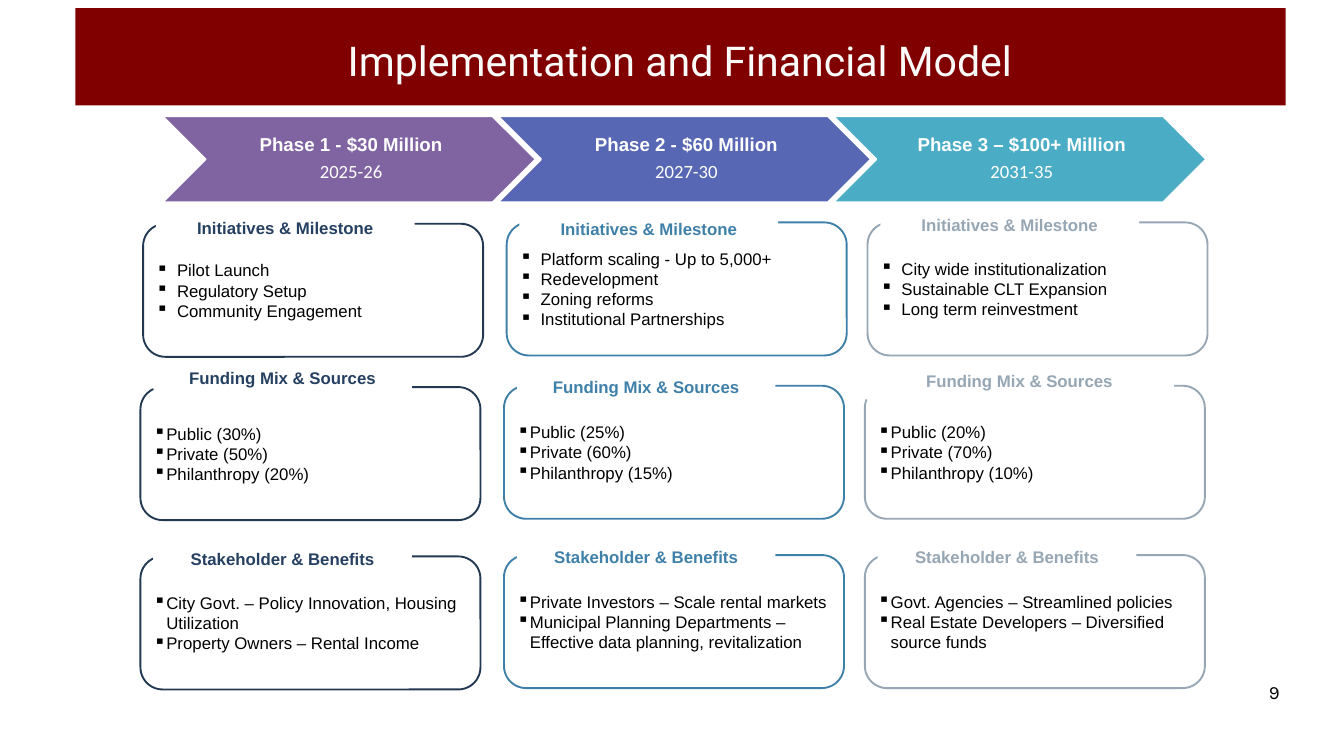
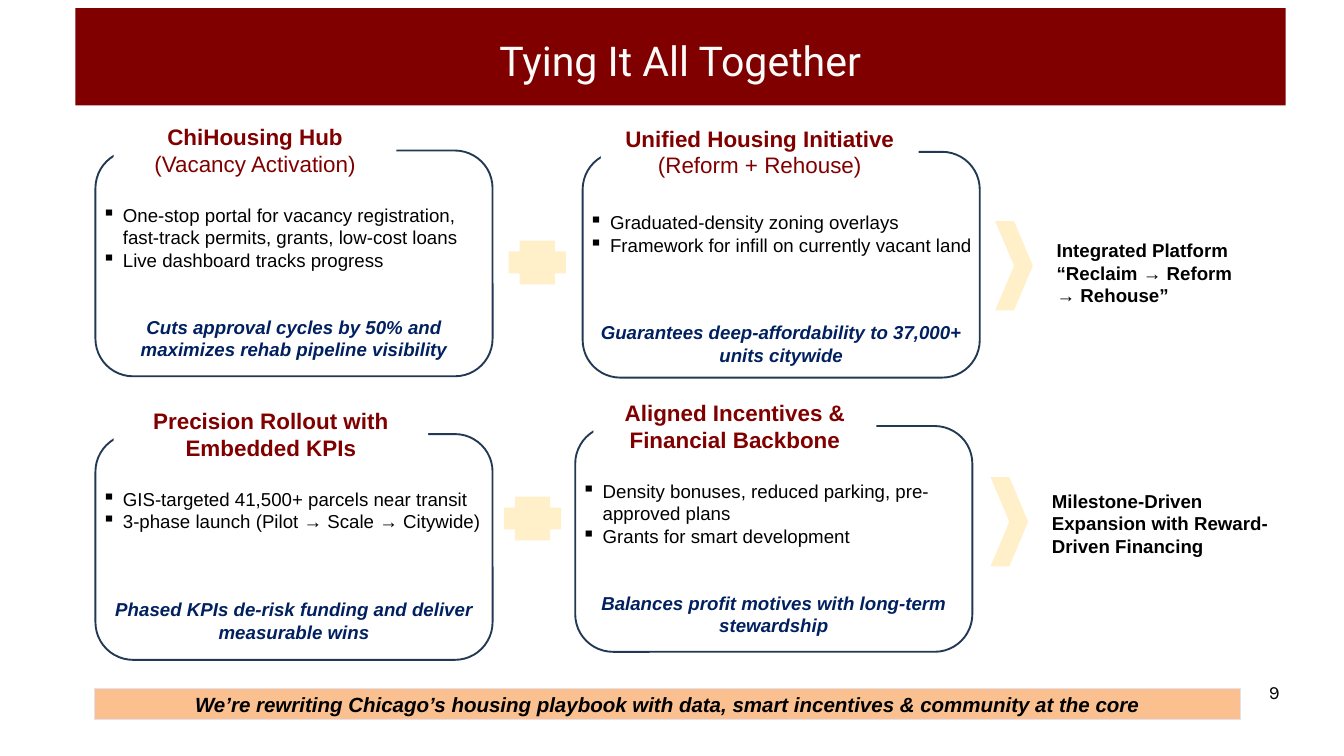
from lxml.etree import SubElement
from pptx import Presentation
from pptx.dml.color import RGBColor
from pptx.enum.shapes import MSO_SHAPE as Shape
from pptx.enum.text import MSO_ANCHOR as Anchor, MSO_AUTO_SIZE as AutoSize, PP_ALIGN as Align
from pptx.oxml.ns import qn
from pptx.util import Emu, Inches, Pt

MAROON = RGBColor(0x80, 0x00, 0x00)
OFF_WHITE = RGBColor(0xFB, 0xFB, 0xFA)
WHITE = RGBColor(0xFF, 0xFF, 0xFF)
BLACK = RGBColor(0x00, 0x00, 0x00)
PURPLE = RGBColor(0x80, 0x64, 0xA2)
INDIGO = RGBColor(0x57, 0x67, 0xB4)
TEAL = RGBColor(0x4B, 0xAC, 0xC6)
NAVY = RGBColor(0x23, 0x39, 0x53)
DARK_BLUE = RGBColor(0x25, 0x40, 0x61)
STEEL = RGBColor(0x3F, 0x80, 0xA9)
GREY = RGBColor(0x96, 0xA6, 0xB4)
ROYAL = RGBColor(0x00, 0x20, 0x60)
CREAM = RGBColor(0xFF, 0xF0, 0xC9)
PEACH = RGBColor(0xFA, 0xC0, 0x90)
LILAC = RGBColor(0xE6, 0xE0, 0xEC)

PAGE = "9"

# heading, years, arrow colour, card outline, card heading colour
PHASES = [
    ("Phase 1 - $30 Million", "2025-26", PURPLE, NAVY, DARK_BLUE),
    ("Phase 2 - $60 Million", "2027-30", INDIGO, STEEL, STEEL),
    ("Phase 3 – $100+ Million", "2031-35", TEAL, GREY, GREY),
]

# heading, card top, shift right, bullet indent,
# then per phase: bullets and heading box (rise above card, width, height)
TOPICS = [
    ("Initiatives & Milestone", 3.31, 0.04, 0.31, [
        (["Pilot Launch", "Regulatory Setup", "Community Engagement"], (0.17, 3.85, 0.46)),
        (["Platform scaling - Up to 5,000+", "Redevelopment", "Zoning reforms",
          "Institutional Partnerships"], (0.13, 3.85, 0.46)),
        (["City wide institutionalization", "Sustainable CLT Expansion",
          "Long term reinvestment"], (0.19, 3.85, 0.46)),
    ]),
    ("Funding Mix & Sources", 5.74, 0, 0.19, [
        (["Public (30%)", "Private (50%)", "Philanthropy (20%)"], (0.37, 3.85, 0.46)),
        (["Public (25%)", "Private (60%)", "Philanthropy (15%)"], (0.39, 3.85, 0.82)),
        (["Public (20%)", "Private (70%)", "Philanthropy (10%)"], (0.39, 4.6, 0.63)),
    ]),
    ("Stakeholder & Benefits", 8.26, 0, 0.19, [
        (["City Govt. – Policy Innovation, Housing Utilization",
          "Property Owners – Rental Income"], (0.38, 3.85, 0.82)),
        (["Private Investors – Scale rental markets",
          "Municipal Planning Departments – Effective data planning, revitalization"],
         (0.38, 3.85, 0.82)),
        (["Govt. Agencies – Streamlined policies",
          "Real Estate Developers – Diversified source funds"], (0.38, 3.85, 0.82)),
    ]),
]
COLUMN_LEFTS = [2.09, 7.5, 12.87]
COLUMN_DROPS = [0.02, 0, 0]
CARD_W, CARD_H = 5.06, 1.98

# card left, top, heading width, heading, subheading, bullets,
# bullets' drop from card top, gap before result in points, result
PILLARS = [
    (1.42, 2.24, 4.21, "ChiHousing Hub", "(Vacancy Activation)",
     ["One-stop portal for vacancy registration, fast-track permits, grants, low-cost loans",
      "Live dashboard tracks progress"],
     0.74, 48, "Cuts approval cycles by 50% and maximizes rehab pipeline visibility"),
    (8.67, 2.26, 4.73, "Unified Housing Initiative", "(Reform + Rehouse)",
     ["Graduated-density zoning overlays", "Framework for infill on currently vacant land"],
     0.83, 70, "Guarantees deep-affordability to 37,000+ units citywide"),
    (1.42, 6.46, 4.68, "Precision Rollout with Embedded KPIs", None,
     ["GIS-targeted 41,500+ parcels near transit", "3-phase launch (Pilot → Scale → Citywide)"],
     0.75, 70, "Phased KPIs de-risk funding and deliver measurable wins"),
    (8.56, 6.34, 4.21, "Aligned Incentives & Financial Backbone", None,
     ["Density bonuses, reduced parking, pre-approved plans", "Grants for smart development"],
     0.75, 48, "Balances profit motives with long-term stewardship"),
]
PILLAR_W, PILLAR_H = 5.91, 3.36

# plus sign left and top, outcome width and rise above the plus, outcome lines
OUTCOMES = [
    (7.57, 3.58, 3.31, 0.6, ["Integrated Platform", "“Reclaim → Reform → Rehouse”"]),
    (7.5, 7.39, 4.06, 0.68, ["Milestone-Driven Expansion with Reward-Driven Financing"]),
]
CLOSING = ("We’re rewriting Chicago’s housing playbook with data, "
           "smart incentives & community at the core")


def inches(*lengths):
    return [Inches(length) for length in lengths]


def add_figure(slide, kind, box, fill=None, line=None, line_width=2):
    figure = slide.shapes.add_shape(kind, *inches(*box))
    figure.shadow.inherit = False
    if fill is None:
        figure.fill.background()
    else:
        figure.fill.solid()
        figure.fill.fore_color.rgb = fill
    if line is None:
        figure.line.fill.background()
    else:
        figure.line.color.rgb = line
        figure.line.width = Pt(line_width)
    figure.text_frame.vertical_anchor = Anchor.MIDDLE
    return figure


def add_text_box(slide, box, margins=(0.1, 0.05, 0.1, 0.05), wrap=True):
    frame = slide.shapes.add_textbox(*inches(*box)).text_frame
    frame.word_wrap = wrap
    (frame.margin_left, frame.margin_top,
     frame.margin_right, frame.margin_bottom) = inches(*margins)
    return frame


def write(frame, text, size, color, align=Align.CENTER, font="Arial",
          bold=False, italic=False, bullet=None):
    """Add one paragraph, reusing the empty first one; bullet is its hanging indent."""
    paragraph = frame.paragraphs[0]
    if paragraph.runs:
        paragraph = frame.add_paragraph()
    paragraph.text = text
    paragraph.alignment = align
    if bullet:
        properties = paragraph._p.get_or_add_pPr()
        properties.set("marL", str(Inches(bullet)))
        properties.set("indent", str(-Inches(bullet)))
        SubElement(properties, qn("a:buChar")).set("char", "▪")
    style = paragraph.font
    style.size, style.name, style.bold, style.italic = Pt(size), font, bold, italic
    style.color.rgb = color
    return paragraph


def add_titled_slide(deck, heading):
    slide = deck.slides.add_slide(deck.slide_layouts[5])
    title = slide.shapes.title
    title.left, title.top, title.width, title.height = inches(1.12, 0.12, 18.01, 1.45)
    outline = SubElement(title._element.spPr, qn("a:prstGeom"))
    outline.set("prst", "roundRect")
    SubElement(outline, qn("a:avLst"))
    title.fill.solid()
    title.fill.fore_color.rgb = MAROON
    frame = title.text_frame
    frame.auto_size = AutoSize.NONE
    frame.vertical_anchor = Anchor.MIDDLE
    write(frame, heading, 44, OFF_WHITE, font="Roboto").line_spacing = Pt(60)
    number = add_text_box(slide, (18.88, 10.07, 0.17, 0.22), (0, 0, 0, 0), wrap=False)
    write(number, PAGE, 20, BLACK, font="Karla").line_spacing = Pt(28)
    return slide


def add_phase_arrow(slide, column, heading, years, color):
    left, top, width, height = 2.42 + column * 4.99, 1.73, 5.55, 1.28
    add_figure(slide, Shape.CHEVRON, (left, top, width, height), color, WHITE)
    frame = add_text_box(slide, (left + height / 2, top, width - height, height),
                         (0.09, 0.03, 0.03, 0.03))
    frame.vertical_anchor = Anchor.MIDDLE
    for text, font, bold in ((heading, "Arial", True), (years, "Calibri", False)):
        paragraph = write(frame, text, 20, WHITE, font=font, bold=bold)
        paragraph.line_spacing = 0.9
        paragraph.space_after = Pt(7)


def build_model(deck):
    slide = add_titled_slide(deck, "Implementation and Financial Model")
    for column, (heading, years, arrow, outline, label) in enumerate(PHASES):
        add_phase_arrow(slide, column, heading, years, arrow)
        for topic, row_top, shift, indent, cells in TOPICS:
            bullets, (rise, label_w, label_h) = cells[column]
            left = COLUMN_LEFTS[column] + shift
            top = row_top + COLUMN_DROPS[column]
            card = add_figure(slide, Shape.ROUNDED_RECTANGLE,
                              (left, top, CARD_W, CARD_H), line=outline)
            for bullet in bullets:
                write(card.text_frame, bullet, 18, BLACK, Align.LEFT, bullet=indent)
            label_left = left if label_w > 4 else left + 0.19
            tag = add_figure(slide, Shape.ROUNDED_RECTANGLE,
                             (label_left, top - rise, label_w, label_h), WHITE)
            write(tag.text_frame, topic, 18, label, bold=True)


def build_summary(deck):
    slide = add_titled_slide(deck, "Tying It All Together")
    for (left, top, label_w, heading, subheading,
         bullets, drop, gap, result) in PILLARS:
        add_figure(slide, Shape.ROUNDED_RECTANGLE, (left, top, PILLAR_W, PILLAR_H), line=NAVY)
        tag = add_figure(slide, Shape.ROUNDED_RECTANGLE,
                         (left + 0.27, top - 0.5, label_w, 0.99), WHITE).text_frame
        write(tag, heading, 24, MAROON, bold=True)
        if subheading:
            write(tag, subheading, 24, MAROON)
        body = add_text_box(slide, (left, top + drop, PILLAR_W, PILLAR_H - drop))
        for bullet in bullets:
            write(body, bullet, 20, BLACK, Align.LEFT, bullet=0.31)
        write(body, result, 20, ROYAL, bold=True, italic=True).space_before = Pt(gap)

    for left, top, width, rise, lines in OUTCOMES:
        add_figure(slide, Shape.CROSS, (left, top, 0.85, 0.65), CREAM)
        add_figure(slide, Shape.CHEVRON, (left + 7.24, top - 0.29, 0.56, 1.33), CREAM)
        outcome = add_figure(slide, Shape.ROUNDED_RECTANGLE,
                             (left + 7.95, top - rise, width, 2.16))
        for line in lines:
            write(outcome.text_frame, line, 20, BLACK, Align.LEFT, bold=True)

    closing = add_figure(slide, Shape.RECTANGLE, (1.4, 10.24, 17.06, 0.47), PEACH, LILAC, 0.75)
    write(closing.text_frame, CLOSING, 22, BLACK, bold=True, italic=True)


def main():
    deck = Presentation()
    deck.slide_width, deck.slide_height = inches(20, 11.25)
    build_model(deck)
    build_summary(deck)
    deck.save("out.pptx")


if __name__ == "__main__":
    main()
